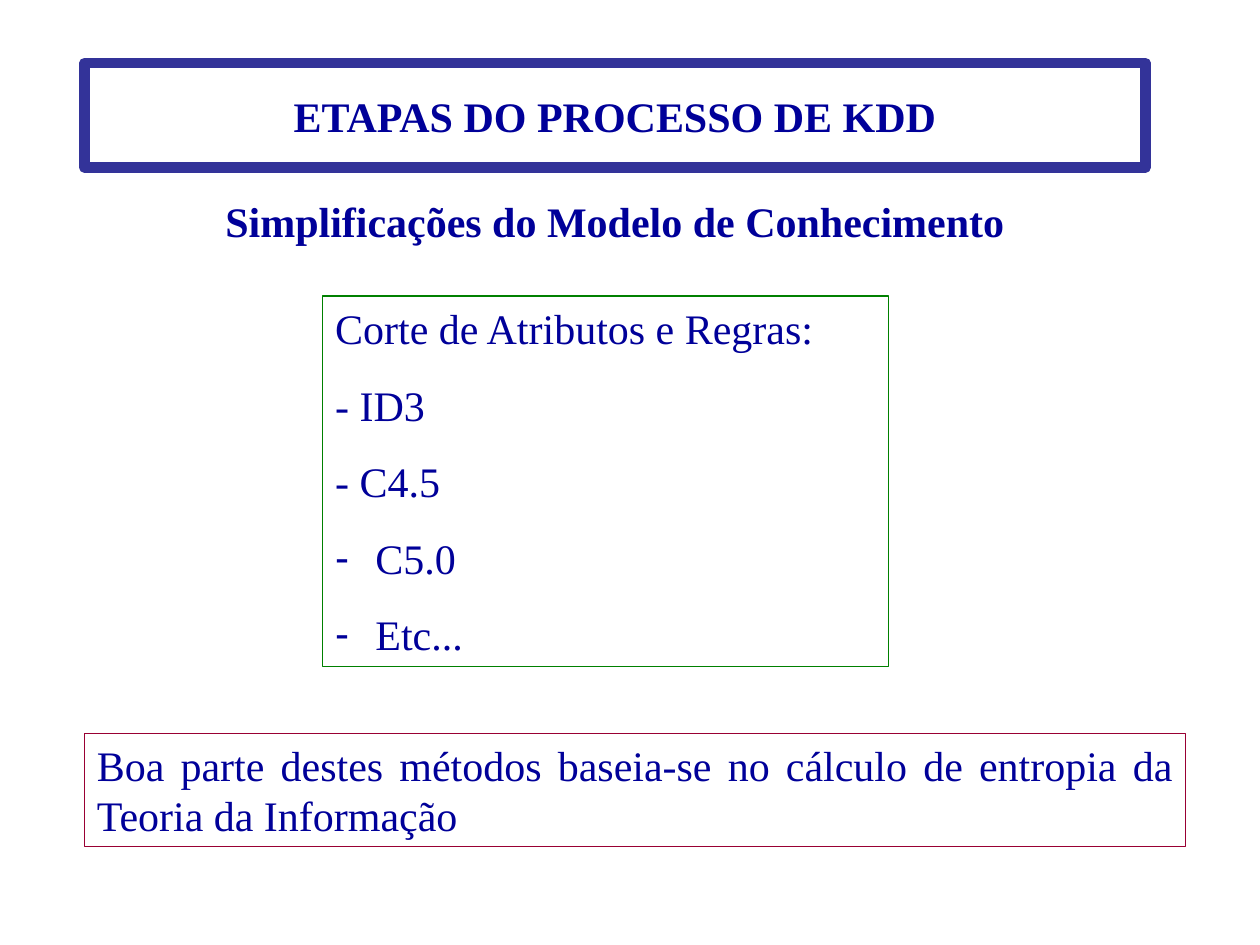
from lxml.etree import SubElement
from pptx import Presentation
from pptx.dml.color import RGBColor
from pptx.enum.text import MSO_ANCHOR, MSO_AUTO_SIZE, PP_ALIGN
from pptx.oxml.ns import qn
from pptx.util import Inches, Pt

NAVY = RGBColor(0x00, 0x00, 0x99)
INDIGO = RGBColor(0x33, 0x33, 0x99)
GREEN = RGBColor(0x00, 0x80, 0x00)
WINE = RGBColor(0x99, 0x00, 0x33)


class KddSlide:
    font_name = "Times New Roman"
    font_size = Pt(24)
    paragraph_gap = Pt(15)
    bullet_indent = Inches(0.32)

    def __init__(self, deck):
        self.slide = deck.slides.add_slide(deck.slide_layouts[1])

    def place(self, box, left, top, width, height):
        box.left, box.top = Inches(left), Inches(top)
        box.width, box.height = Inches(width), Inches(height)

    def outline(self, box, color, weight):
        box.line.color.rgb = color
        box.line.width = Pt(weight)

    def style(self, paragraph, align, bold=False):
        paragraph.alignment = align
        paragraph.space_before = Pt(0)
        paragraph.font.name = self.font_name
        paragraph.font.size = self.font_size
        paragraph.font.bold = bold
        paragraph.font.color.rgb = NAVY

    def bullet(self, paragraph, dashed):
        properties = paragraph._p.get_or_add_pPr()
        indent = self.bullet_indent if dashed else 0
        properties.set("marL", str(indent))
        properties.set("indent", str(-indent))
        if dashed:
            SubElement(properties, qn("a:buChar"), char="-")
        else:
            SubElement(properties, qn("a:buNone"))

    def title(self, text, *bounds):
        heading = self.slide.shapes.title
        self.place(heading, *bounds)
        self.outline(heading, INDIGO, 6)
        frame = heading.text_frame
        frame.text = text
        frame.auto_size = MSO_AUTO_SIZE.NONE
        frame.vertical_anchor = MSO_ANCHOR.MIDDLE
        self.style(frame.paragraphs[0], PP_ALIGN.CENTER, bold=True)

    def body(self, items, *bounds):
        methods = self.slide.placeholders[1]
        self.place(methods, *bounds)
        self.outline(methods, GREEN, 0.75)
        frame = methods.text_frame
        frame.text = "\n".join(text for text, _ in items)
        frame.auto_size = MSO_AUTO_SIZE.NONE
        for index, (paragraph, (_, dashed)) in enumerate(zip(frame.paragraphs, items)):
            self.bullet(paragraph, dashed)
            self.style(paragraph, PP_ALIGN.LEFT)
            if index:
                paragraph.space_before = self.paragraph_gap

    def text(self, text, *bounds, align, bold=False, border=None):
        box = self.slide.shapes.add_textbox(*map(Inches, bounds))
        if border is not None:
            self.outline(box, border, 0.75)
        frame = box.text_frame
        frame.word_wrap = True
        frame.text = text
        self.style(frame.paragraphs[0], align, bold)


def main():
    deck = Presentation()
    deck.slide_width, deck.slide_height = Inches(10), Inches(7.5)
    page = KddSlide(deck)
    page.title("ETAPAS DO PROCESSO DE KDD", 0.67, 0.5, 8.42, 0.83)
    page.text("Simplificações do Modelo de Conhecimento", 0.67, 1.5, 8.42, 0.5,
              align=PP_ALIGN.CENTER, bold=True)
    page.body([
        ("Corte de Atributos e Regras:", False),
        ("- ID3", False),
        ("- C4.5", False),
        ("C5.0", True),
        ("Etc...", True),
    ], 2.56, 2.35, 4.49, 2.94)
    page.text("Boa parte destes métodos baseia-se no cálculo de entropia da Teoria da Informação",
              0.67, 5.82, 8.74, 0.9, align=PP_ALIGN.JUSTIFY, border=WINE)
    deck.save("out.pptx")


if __name__ == "__main__":
    main()
